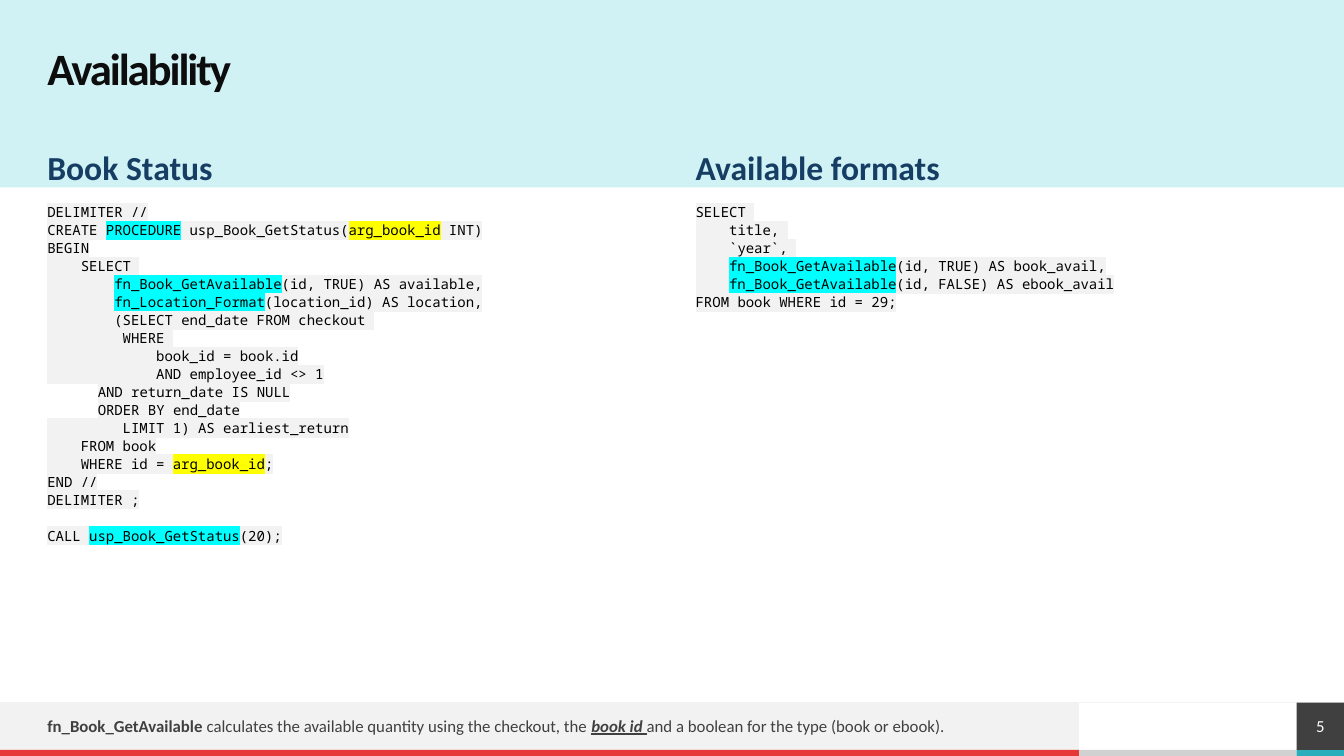
from dataclasses import dataclass

import lxml.etree
import pptx
import pptx.dml.color
import pptx.enum.shapes
import pptx.enum.text
import pptx.oxml.ns
import pptx.util
from pptx.util import Inches

ANCHOR = pptx.enum.text.MSO_ANCHOR
ALIGN = pptx.enum.text.PP_ALIGN


@dataclass(frozen=True)
class Theme:
    sans: str = "Calibri"
    mono: str = "Noto Sans Mono"
    title_size: int = 32
    heading_size: int = 24
    note_size: int = 12
    code_size: int = 10
    title: str = "0D0D0D"
    heading: str = "163E64"
    code: str = "000000"
    dark: str = "404040"
    white: str = "FFFFFF"
    pale: str = "F2F2F2"
    band: str = "D1F2F5"
    red: str = "E63839"
    teal: str = "2AAEBB"
    grey: str = "D1D1D1"
    call_mark: str = "00FFFF"
    argument_mark: str = "FFFF00"


THEME = Theme()
WIDTH, HEIGHT = 13.33, 7.5
MARGIN = 0.47
COLUMN_WIDTH = 5.96
FOOTER_TOP, FOOTER_WIDTH = 6.97, 10.7
STRIP_TOP = FOOTER_TOP + MARGIN
NUMBER_LEFT = WIDTH - MARGIN

STATUS_CODE = """DELIMITER //
CREATE |PROCEDURE| usp_Book_GetStatus(|arg_book_id| INT)
BEGIN
    SELECT 
        |fn_Book_GetAvailable|(id, TRUE) AS available,
        |fn_Location_Format|(location_id) AS location,
        (SELECT end_date FROM checkout 
         WHERE 
             book_id = book.id
             AND employee_id <> 1
\tAND return_date IS NULL
\tORDER BY end_date
         LIMIT 1) AS earliest_return
    FROM book
    WHERE id = |arg_book_id|;
END //
DELIMITER ;

CALL |usp_Book_GetStatus|(20);"""

FORMATS_CODE = """SELECT 
    title, 
    `year`, 
    |fn_Book_GetAvailable|(id, TRUE) AS book_avail,
    |fn_Book_GetAvailable|(id, FALSE) AS ebook_avail
FROM book WHERE id = 29;"""


def rgb(color):
    return pptx.dml.color.RGBColor.from_string(color)


def set_font(font, name, size, color, bold=False):
    font.name = name
    font.size = pptx.util.Pt(size)
    font.color.rgb = rgb(color)
    font.bold = bold


def set_frame(frame, anchor):
    frame.word_wrap = True
    frame.auto_size = pptx.enum.text.MSO_AUTO_SIZE.NONE
    frame.vertical_anchor = anchor
    frame.margin_left = frame.margin_right = 0
    frame.margin_top = frame.margin_bottom = 0


def add_block(page, left, top, width, height, color):
    block = page.shapes.add_shape(
        pptx.enum.shapes.MSO_SHAPE.RECTANGLE,
        Inches(left), Inches(top), Inches(width), Inches(height))
    block.shadow.inherit = False
    block.fill.solid()
    block.fill.fore_color.rgb = rgb(color)
    block.line.fill.background()
    return block


def add_rule(page, top, color):
    rule = page.shapes.add_connector(
        pptx.enum.shapes.MSO_CONNECTOR.STRAIGHT,
        Inches(WIDTH), Inches(top), 0, Inches(top))
    rule.line.color.rgb = rgb(color)
    rule.line.width = pptx.util.Pt(0.5)
    lxml.etree.SubElement(rule._element.spPr, pptx.oxml.ns.qn("a:effectLst"))


def add_text(page, left, top, width, height, anchor):
    box = page.shapes.add_textbox(
        Inches(left), Inches(top), Inches(width), Inches(height))
    set_frame(box.text_frame, anchor)
    return box.text_frame


def highlight(span, color):
    properties = span._r.get_or_add_rPr()
    mark = lxml.etree.SubElement(properties, pptx.oxml.ns.qn("a:highlight"))
    lxml.etree.SubElement(mark, pptx.oxml.ns.qn("a:srgbClr"), val=color)


def mark_color(position, text):
    if position % 2 == 0:
        return THEME.pale
    return THEME.argument_mark if text.startswith("arg_") else THEME.call_mark


def add_code(page, left, code):
    frame = add_text(page, left, 2.04, COLUMN_WIDTH, 4.73, ANCHOR.TOP)
    for number, line in enumerate(code.split("\n")):
        para = frame.add_paragraph() if number else frame.paragraphs[0]
        para.line_spacing = 0.9
        para.space_after = pptx.util.Pt(2)
        set_font(para.font, THEME.mono, THEME.code_size, THEME.code)
        for position, text in enumerate(line.split("|")):
            if text:
                span = para.add_run()
                span.text = text
                highlight(span, mark_color(position, text))


def add_column(page, left, heading, code):
    frame = add_text(page, left, 1.47, COLUMN_WIDTH, 0.39, ANCHOR.BOTTOM)
    para = frame.paragraphs[0]
    para.text = heading
    para.line_spacing = 0.9
    set_font(para.font, THEME.sans, THEME.heading_size, THEME.heading, True)
    add_code(page, left, code)


def add_title(page, text):
    title = page.shapes.title
    page.shapes._spTree.append(title._element)
    title.left, title.top = Inches(MARGIN), Inches(MARGIN)
    title.width, title.height = Inches(WIDTH - 2 * MARGIN), Inches(0.47)
    set_frame(title.text_frame, ANCHOR.MIDDLE)
    para = title.text_frame.paragraphs[0]
    para.alignment = ALIGN.LEFT
    para.line_spacing = 0.9
    span = para.add_run()
    span.text = text
    set_font(span.font, THEME.sans, THEME.title_size, THEME.title, True)
    span._r.get_or_add_rPr().set("spc", "-150")


def add_footer(page):
    add_block(page, FOOTER_WIDTH, STRIP_TOP, NUMBER_LEFT - FOOTER_WIDTH, 0.06, THEME.grey)
    add_block(page, 0, FOOTER_TOP, FOOTER_WIDTH, MARGIN, THEME.pale)
    add_block(page, 0, STRIP_TOP, FOOTER_WIDTH, 0.06, THEME.red)
    add_block(page, NUMBER_LEFT, STRIP_TOP, MARGIN, 0.06, THEME.teal)
    add_rule(page, FOOTER_TOP, THEME.pale)


def add_note(page, pieces):
    para = add_text(page, MARGIN, 7.04, 10.09, 0.32, ANCHOR.MIDDLE).paragraphs[0]
    set_font(para.font, THEME.sans, THEME.note_size, THEME.dark)
    for text, bold, emphasis in pieces:
        span = para.add_run()
        span.text = text
        span.font.bold = bold
        span.font.italic = span.font.underline = emphasis


def add_number(page, number):
    block = add_block(page, NUMBER_LEFT, FOOTER_TOP, MARGIN, MARGIN, THEME.dark)
    set_frame(block.text_frame, ANCHOR.MIDDLE)
    para = block.text_frame.paragraphs[0]
    para.text = number
    para.alignment = ALIGN.CENTER
    set_font(para.font, THEME.sans, THEME.note_size, THEME.white)


def main():
    deck = pptx.Presentation()
    deck.slide_width, deck.slide_height = Inches(WIDTH), Inches(HEIGHT)
    page = deck.slides.add_slide(deck.slide_layouts.get_by_name("Title Only"))
    add_footer(page)
    add_block(page, 0, 0, WIDTH, 1.86, THEME.band)
    add_title(page, "Availability")
    add_note(page, [
        ("fn_Book_GetAvailable ", True, False),
        ("calculates the available quantity using the checkout, the ", False, False),
        ("book id ", True, True),
        ("and a boolean for the type (book or ebook).", False, False)])
    add_number(page, "5")
    add_column(page, MARGIN, "Book Status", STATUS_CODE)
    add_column(page, NUMBER_LEFT - COLUMN_WIDTH, "Available formats", FORMATS_CODE)
    deck.save("out.pptx")


if __name__ == "__main__":
    main()
